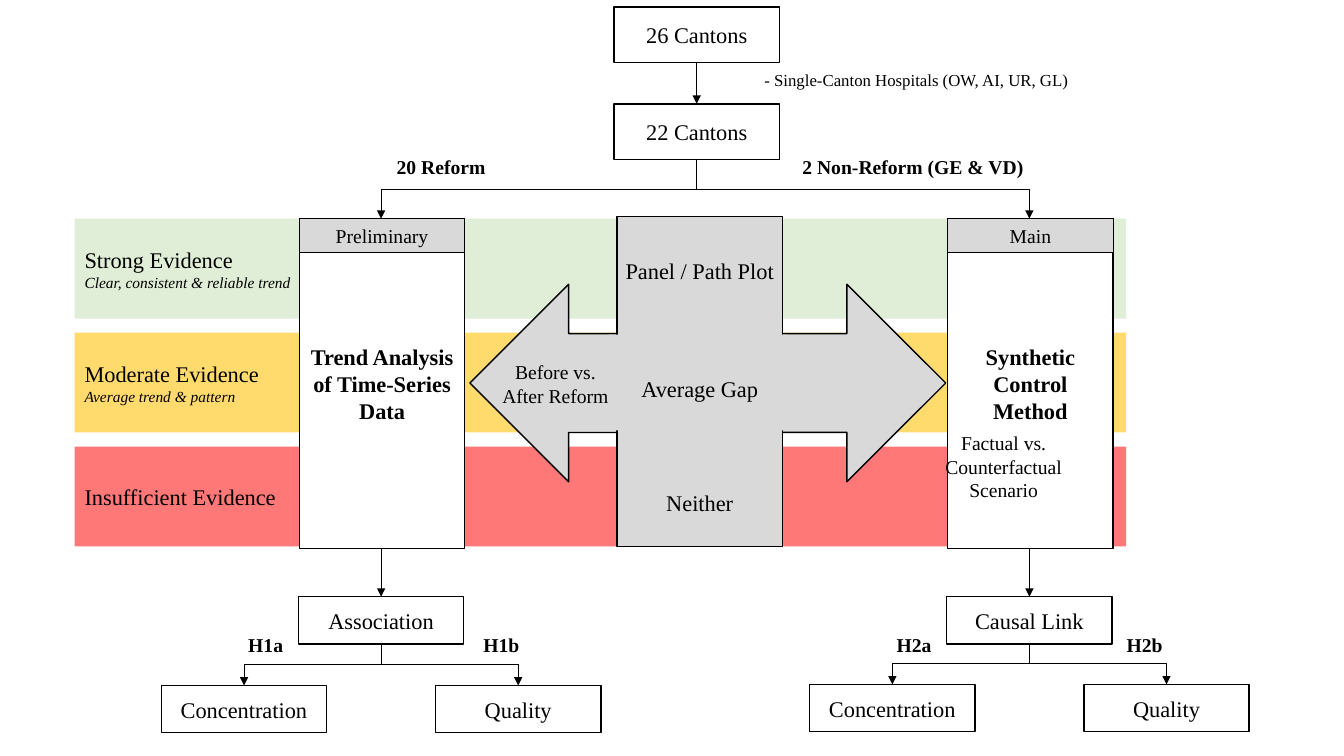
from typing import NamedTuple, Optional

from lxml import etree
from pptx import Presentation
from pptx.dml.color import RGBColor
from pptx.enum.shapes import MSO_CONNECTOR, MSO_SHAPE
from pptx.enum.text import MSO_ANCHOR, PP_ALIGN
from pptx.oxml.ns import qn
from pptx.util import Inches, Pt

BLACK = RGBColor(0x00, 0x00, 0x00)
WHITE = RGBColor(0xFF, 0xFF, 0xFF)
GRAY = RGBColor(0xD9, 0xD9, 0xD9)
GREEN = RGBColor(0xC5, 0xE0, 0xB4)
AMBER = RGBColor(0xFF, 0xC0, 0x00)
RED = RGBColor(0xFF, 0x00, 0x00)

RECT, ARROW = MSO_SHAPE.RECTANGLE, MSO_SHAPE.RIGHT_ARROW
STRAIGHT, ELBOW = MSO_CONNECTOR.STRAIGHT, MSO_CONNECTOR.ELBOW
LEFT, CENTER, RIGHT = PP_ALIGN.LEFT, PP_ALIGN.CENTER, PP_ALIGN.RIGHT
TOP, MIDDLE = MSO_ANCHOR.TOP, MSO_ANCHOR.MIDDLE

FONT = "Times New Roman"
BOX_W = 1.64
STEP_H = 0.47
PANEL_Y, PANEL_H = 2.17, 3.27


class Band(NamedTuple):
    """A level of evidence across the slide."""
    top: float
    color: RGBColor
    alpha: int
    name: str
    hint: str = ""


class Box(NamedTuple):
    """A rectangle with centred text."""
    left: float
    top: float
    height: float
    text: str
    fill: Optional[RGBColor] = None
    size: int = 16
    bold: bool = False
    line: float = 1


class Label(NamedTuple):
    """Free text on the slide."""
    left: float
    top: float
    width: float
    height: float
    text: str
    size: int = 14
    bold: bool = False
    wrap: bool = False
    align: PP_ALIGN = CENTER
    anchor: MSO_ANCHOR = TOP


class Side(NamedTuple):
    """One of the two study branches."""
    left: float
    mid: float
    foot: float
    tag: str
    method: str
    result: str


BANDS = [
    Band(4.43, RED, 53, "Insufficient Evidence"),
    Band(2.17, GREEN, 53, "Strong Evidence", "Clear, consistent & reliable trend"),
    Band(3.3, AMBER, 57, "Moderate Evidence", "Average trend & pattern"),
]
SIDES = [
    Side(2.97, 3.78, 6.8, "Preliminary", "Trend Analysis of Time-Series Data", "Association"),
    Side(9.4, 10.21, 6.79, "Main", "Synthetic Control Method", "Causal Link"),
]
LABELS = [
    Label(7.16, 0.64, 3.86, 0.36, "- Single-Canton Hospitals (OW, AI, UR, GL)", 12),
    Label(3.83, 1.49, 1.09, 0.34, "20 Reform", bold=True),
    Label(7.85, 1.49, 2.41, 0.34, "2 Non-Reform (GE & VD)", bold=True),
    Label(6.09, 2.5, 1.7, 0.37, "Panel / Path Plot", 16),
    Label(6.25, 3.67, 1.38, 0.37, "Average Gap", 16),
    Label(6.5, 4.8, 0.88, 0.37, "Neither", 16),
    Label(4.86, 3.52, 1.3, 0.57, "Before vs. After Reform", wrap=True, anchor=MIDDLE),
    Label(9.22, 4.22, 1.47, 0.81, "Factual vs. Counterfactual Scenario", wrap=True,
          anchor=MIDDLE),
    Label(2.36, 6.23, 0.55, 0.34, "H1a", bold=True),
    Label(4.58, 6.23, 0.67, 0.34, "H1b", bold=True, align=RIGHT),
    Label(8.79, 6.23, 0.55, 0.34, "H2a", bold=True),
    Label(11.07, 6.23, 0.56, 0.34, "H2b", bold=True, align=RIGHT),
]

deck = Presentation()
deck.slide_width, deck.slide_height = Inches(13.33), Inches(7.5)
slide = deck.slides.add_slide(deck.slide_layouts[6])
shapes = slide.shapes


def style(para, text: str, size: int, bold: bool = False, italic: bool = False,
          align: PP_ALIGN = CENTER) -> None:
    """Fill a paragraph and set its font."""
    para.text, para.alignment = text, align
    font = para.font
    font.name, font.size, font.bold, font.italic = FONT, Pt(size), bold, italic
    font.color.rgb = BLACK


def add_form(kind: MSO_SHAPE, left: float, top: float, width: float, height: float,
             fill: Optional[RGBColor] = GRAY, line: float = 0):
    """Add a preset shape; a line width of 0 means no outline."""
    form = shapes.add_shape(kind, Inches(left), Inches(top), Inches(width), Inches(height))
    form.shadow.inherit = False
    if fill is None:
        form.fill.background()
    else:
        form.fill.solid()
        form.fill.fore_color.rgb = fill
    if line:
        form.line.color.rgb, form.line.width = BLACK, Pt(line)
    else:
        form.line.fill.background()
    return form


def add_band(band: Band) -> None:
    """Add a see-through band with its name and hint."""
    form = add_form(RECT, 0.74, band.top, 10.43, 0.99, band.color)
    color = form.fill._xPr.find(qn("a:solidFill"))[0]
    etree.SubElement(color, qn("a:alpha"), val=str(band.alpha * 1000))
    frame = form.text_frame
    frame.vertical_anchor = MIDDLE
    style(frame.paragraphs[0], band.name, 16, align=LEFT)
    if band.hint:
        style(frame.add_paragraph(), band.hint, 11, italic=True, align=LEFT)


def add_box(box: Box) -> None:
    """Add an outlined box with its text."""
    form = add_form(RECT, box.left, box.top, BOX_W, box.height, box.fill, box.line)
    form.text_frame.vertical_anchor = MIDDLE
    style(form.text_frame.paragraphs[0], box.text, box.size, box.bold)


def add_label(label: Label) -> None:
    """Add a text box."""
    area = shapes.add_textbox(*map(Inches, label[:4]))
    frame = area.text_frame
    frame.word_wrap, frame.vertical_anchor = label.wrap, label.anchor
    style(frame.paragraphs[0], label.text, label.size, label.bold, align=label.align)


def add_link(x: float, top: float, end: float, low: float) -> None:
    """Add an arrow downwards, with a bend where the ends are not aligned."""
    run, drop = abs(end - x), low - top
    if run < 0.05:
        link = shapes.add_connector(STRAIGHT, Inches(x), Inches(top), Inches(end), Inches(low))
    else:
        left, high = (x + end - drop) / 2, (top + low - run) / 2
        link = shapes.add_connector(ELBOW, Inches(left), Inches(high),
                                    Inches(left + drop), Inches(high + run))
        turn = link._element.spPr.find(qn("a:xfrm"))
        turn.set("rot", str((90 if end < x else 270) * 60000))
        if end > x:
            turn.set("flipH", "1")
    link.line.color.rgb, link.line.width = BLACK, Pt(0.5)
    etree.SubElement(link.line._get_or_add_ln(), qn("a:tailEnd"), type="triangle")
    etree.SubElement(link._element.spPr, qn("a:effectLst"))


for band in BANDS:
    add_band(band)
add_form(ARROW, 4.66, 2.82, 2.25, 1.96, line=1).rotation = 180
add_form(ARROW, 7, 2.82, 2.38, 1.96, line=1)
add_form(RECT, 6.12, 2.15, BOX_W, PANEL_H, line=1)
for left, width in ((6.04, 0.18), (7.66, 0.14)):
    add_form(RECT, left, 3.32, width, 0.95)

for top, text in ((0.07, "26 Cantons"), (1.03, "22 Cantons")):
    add_box(Box(6.09, top, 0.55, text))
add_link(6.91, 0.62, 6.91, 1.03)

for side in SIDES:
    add_link(6.91, 1.58, side.mid, PANEL_Y)
    add_box(Box(side.left, PANEL_Y, PANEL_H, side.method, WHITE, bold=True))
    add_box(Box(side.left, PANEL_Y, 0.34, side.tag, GRAY, 14, line=0.75))
    add_link(side.mid, 5.44, side.mid, 5.92)
    add_box(Box(side.mid - BOX_W / 2, 5.92, STEP_H, side.result))
    for shift, text in ((-1.36, "Concentration"), (1.36, "Quality")):
        mid = side.mid + shift
        add_link(side.mid, 6.38, mid, side.foot)
        add_box(Box(mid - BOX_W / 2, side.foot, STEP_H, text))

for label in LABELS:
    add_label(label)

deck.save("out.pptx")
